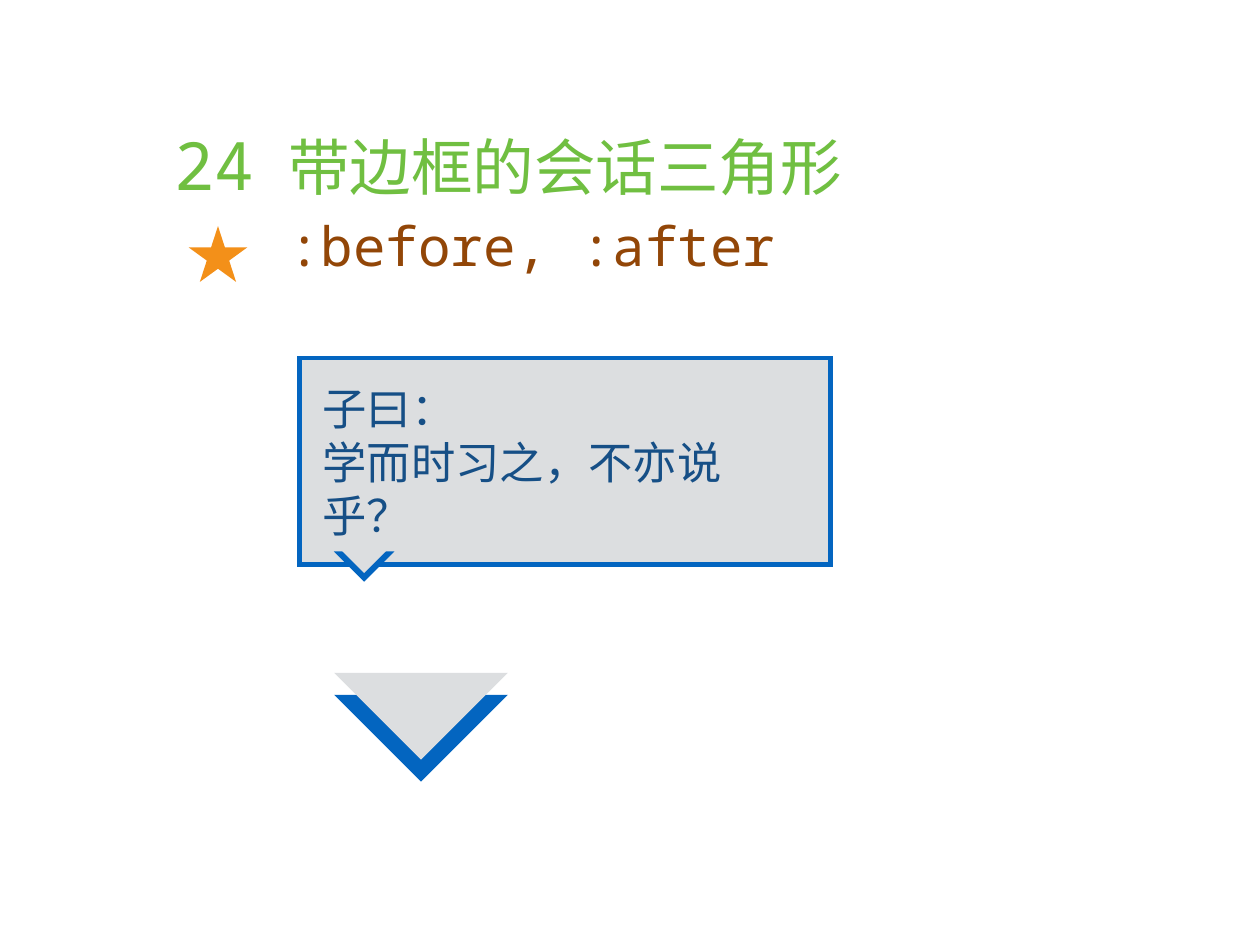
from pptx import Presentation
from pptx.dml.color import RGBColor
from pptx.enum.shapes import MSO_SHAPE
from pptx.enum.text import MSO_ANCHOR, PP_ALIGN
from pptx.oxml import parse_xml
from pptx.oxml.ns import nsdecls
from pptx.util import Cm, Pt

COLORS = {
    "green": "70BF41",
    "brown": "924607",
    "navy": "164F86",
    "blue": "0365C0",
    "gray": "DCDEE0",
    "orange": "F39019",
    "white": "FFFFFF",
}
MONO = "Noto Sans Mono"
HAN = "Noto Sans CJK SC"


def color(name):
    return RGBColor.from_string(COLORS[name])


def write(para, text, size, font, tint):
    run = para.add_run()
    run.text = text
    run.font.size = Pt(size)
    run.font.name = font
    run.font.bold = False
    run.font.color.rgb = color(tint)
    latin = run.font._element.find("{*}latin")
    latin.addnext(parse_xml(f'<a:ea {nsdecls("a")} typeface="{HAN}"/>'))


def paint(shape, fill, line=None):
    shape.shadow.inherit = False
    shape.fill.solid()
    shape.fill.fore_color.rgb = color(fill)
    if line:
        shape.line.color.rgb = color(line)
        shape.line.width = Pt(4)
        edge = shape.line._get_or_add_ln()
        edge.append(parse_xml(f'<a:miter {nsdecls("a")} lim="800000"/>'))
    else:
        shape.line.fill.background()


def border(cell):
    """Give the cell thin white edges."""
    props = cell._tc.get_or_add_tcPr()
    for spot, side in enumerate(("lnL", "lnR", "lnT", "lnB")):
        props.insert(spot, parse_xml(
            f'<a:{side} {nsdecls("a")} w="{Pt(0.45)}"><a:solidFill>'
            f'<a:srgbClr val="{COLORS["white"]}"/></a:solidFill></a:{side}>'))


def heading(slide, left, top, width, height):
    """Number on the left, title and selectors on the right."""
    table = slide.shapes.add_table(1, 2, left, top, width, height).table
    table.first_row = table.horz_banding = False
    table.columns[0].width = Cm(4.5)
    table.columns[1].width = width - Cm(4.5)
    for cell in table.iter_cells():
        cell.margin_left = cell.margin_right = Cm(0.48)
        cell.margin_top = cell.margin_bottom = Cm(0.13)
        cell.fill.background()
        border(cell)
    number, title = (cell.text_frame for cell in table.iter_cells())
    number.paragraphs[0].alignment = PP_ALIGN.RIGHT
    write(number.paragraphs[0], "24", 54, MONO, "green")
    write(title.paragraphs[0], "带边框的会话三角形", 50, HAN, "green")
    write(title.add_paragraph(), ":before, :after", 44, MONO, "brown")


def star(slide, left, top, width, height):
    shape = slide.shapes.add_shape(MSO_SHAPE.STAR_5_POINT,
                                   left, top, width, height)
    paint(shape, "orange")


def tip(slide, left, top, half, shift):
    """Blue triangle pointing down, with a gray one raised by shift."""
    for y, fill in ((top, "blue"), (top - shift, "gray")):
        pen = slide.shapes.build_freeform(left, y)
        pen.add_line_segments([(left + half, y + half), (left + 2 * half, y)])
        paint(pen.convert_to_shape(), fill)


def bubble(slide, left, top, width, height):
    box = slide.shapes.add_shape(MSO_SHAPE.RECTANGLE, left, top, width, height)
    paint(box, "gray", "blue")
    frame = box.text_frame
    frame.word_wrap = True
    frame.vertical_anchor = MSO_ANCHOR.MIDDLE
    frame.margin_left = frame.margin_right = Cm(0.66)
    frame.margin_top = frame.margin_bottom = Cm(0.66)
    first, second = frame.paragraphs[0], frame.add_paragraph()
    for para, text in ((first, "子曰："), (second, "学而时习之，不亦说乎？")):
        para.alignment = PP_ALIGN.LEFT
        # Keeps the closing mark inside the margin, so the line wraps
        para._p.get_or_add_pPr().set("hangingPunct", "0")
        write(para, text, 36, "Arial", "navy")
    tip(slide, left + Cm(0.98), top + height - Cm(0.38), Cm(0.87), Cm(0.25))


def main():
    deck = Presentation()
    deck.slide_width, deck.slide_height = Cm(36.12), Cm(27.08)
    slide = deck.slides.add_slide(deck.slide_layouts[6])
    heading(slide, Cm(3.28), Cm(3.28), Cm(29.59), Cm(20.52))
    bubble(slide, Cm(8.59), Cm(10.26), Cm(15.21), Cm(5.92))
    tip(slide, Cm(9.58), Cm(19.91), Cm(2.49), Cm(0.63))
    star(slide, Cm(5.41), Cm(6.48), Cm(1.68), Cm(1.6))
    deck.save("out.pptx")


if __name__ == "__main__":
    main()
